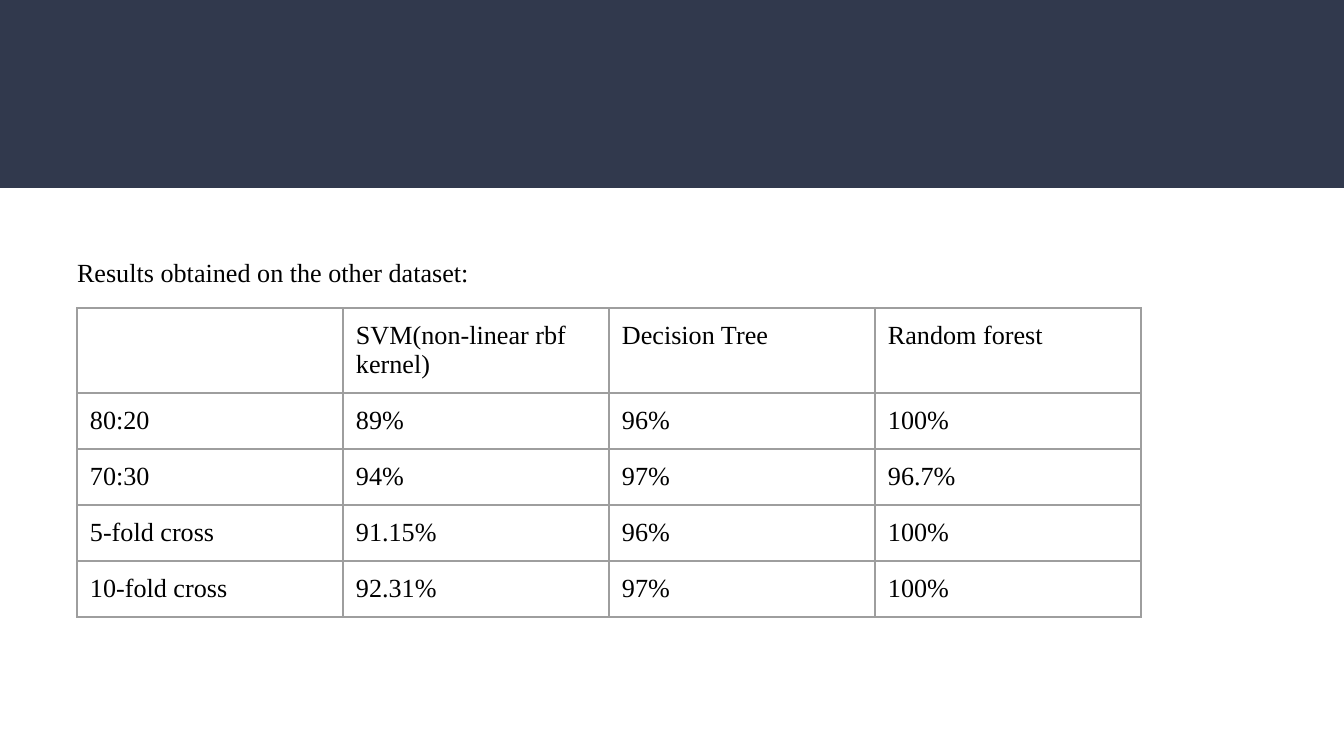
from lxml import etree
from pptx import Presentation
from pptx.dml.color import RGBColor
from pptx.enum.shapes import MSO_SHAPE
from pptx.enum.text import MSO_ANCHOR, MSO_AUTO_SIZE
from pptx.oxml import parse_xml
from pptx.oxml.ns import nsdecls, qn
from pptx.util import Emu, Pt

PX = 914400 / 134.4
NAVY = RGBColor(0x31, 0x39, 0x4D)
BLACK = RGBColor(0x00, 0x00, 0x00)
GRAY = RGBColor(0x9E, 0x9E, 0x9E)
FONT = "Times New Roman"
INSET = 13
RESULTS = [
    ["", "SVM(non-linear rbf kernel)", "Decision Tree", "Random forest"],
    ["80:20", "89%", "96%", "100%"],
    ["70:30", "94%", "97%", "96.7%"],
    ["5-fold cross", "91.15%", "96%", "100%"],
    ["10-fold cross", "92.31%", "97%", "100%"],
]


def px(length):
    return Emu(round(length * PX))


def place(shape, left, top, width, height):
    shape.left, shape.top = px(left), px(top)
    shape.width, shape.height = px(width), px(height)


def set_font(para):
    para.font.name = FONT
    para.font.size = Pt(14)
    para.font.color.rgb = BLACK


def add_banner(page):
    banner = page.shapes.add_shape(MSO_SHAPE.RECTANGLE, 0, 0, px(1344), px(188))
    banner.shadow.inherit = False
    banner.fill.solid()
    banner.fill.fore_color.rgb = NAVY
    banner.line.fill.background()


def fill_body(body, text):
    place(body, 24, 208, 1284, 521)
    frame = body.text_frame
    frame.word_wrap = True
    frame.auto_size = MSO_AUTO_SIZE.NONE
    frame.vertical_anchor = MSO_ANCHOR.TOP
    frame.margin_left, frame.margin_top = px(53), px(48)
    frame.margin_right = frame.margin_bottom = px(INSET)
    para = frame.paragraphs[0]
    para.text = text
    para.space_before = Pt(0)
    set_font(para)
    properties = para._p.get_or_add_pPr()
    properties.set("marL", "0")
    properties.set("indent", "0")
    etree.SubElement(properties, qn("a:buNone"))
    properties.insert_element_before(properties.find(qn("a:buNone")), "a:defRPr")


def add_borders(cell):
    """Draw a thin gray line on all four sides of the cell."""
    properties = cell._tc.get_or_add_tcPr()
    for index, side in enumerate(("lnL", "lnR", "lnT", "lnB")):
        properties.insert(index, parse_xml(
            f'<a:{side} {nsdecls("a")} w="{Pt(0.75)}"><a:solidFill>'
            f'<a:srgbClr val="{GRAY}"/></a:solidFill></a:{side}>'))


def format_cell(cell, text):
    cell.margin_left = cell.margin_right = px(INSET)
    cell.margin_top = cell.margin_bottom = px(INSET)
    cell.fill.background()
    cell.text = text
    set_font(cell.text_frame.paragraphs[0])
    add_borders(cell)


def add_results(page, left, top, column_width, header_height, row_height):
    rows, columns = len(RESULTS), len(RESULTS[0])
    height = header_height + (rows - 1) * row_height
    table = page.shapes.add_table(rows, columns, px(left), px(top),
                                  px(columns * column_width), px(height)).table
    table.first_row = table.horz_banding = False
    for column in table.columns:
        column.width = px(column_width)
    for index, row in enumerate(table.rows):
        row.height = px(row_height if index else header_height)
        for cell, text in zip(row.cells, RESULTS[index]):
            format_cell(cell, text)


def main():
    deck = Presentation()
    deck.slide_width, deck.slide_height = px(1344), px(756)
    page = deck.slides.add_slide(deck.slide_layouts[1])
    title, body = page.placeholders
    title.element.getparent().remove(title.element)
    add_banner(page)
    fill_body(body, "Results obtained on the other dataset:")
    add_results(page, 77, 308, 266, 85, 56)
    deck.save("out.pptx")


if __name__ == "__main__":
    main()
